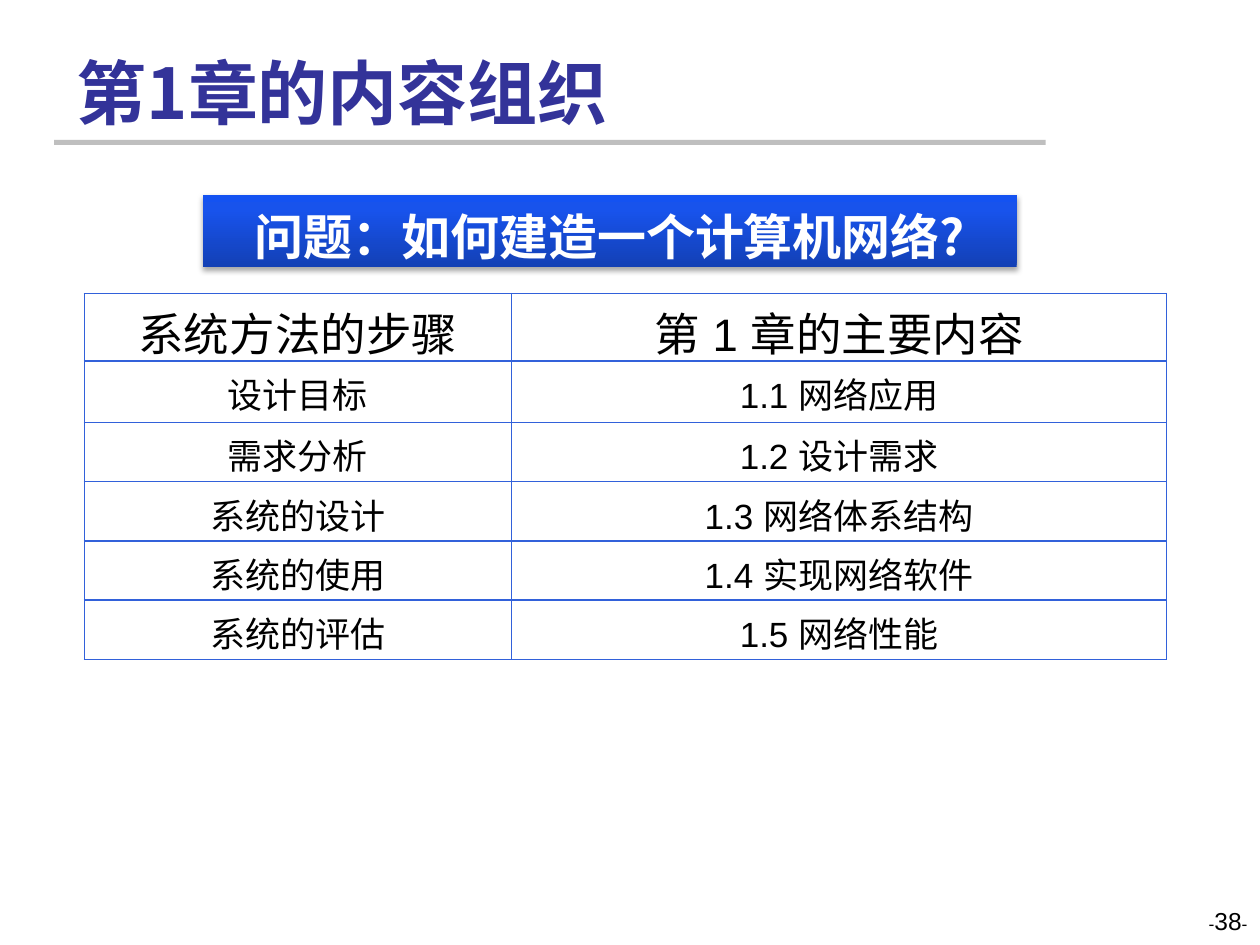
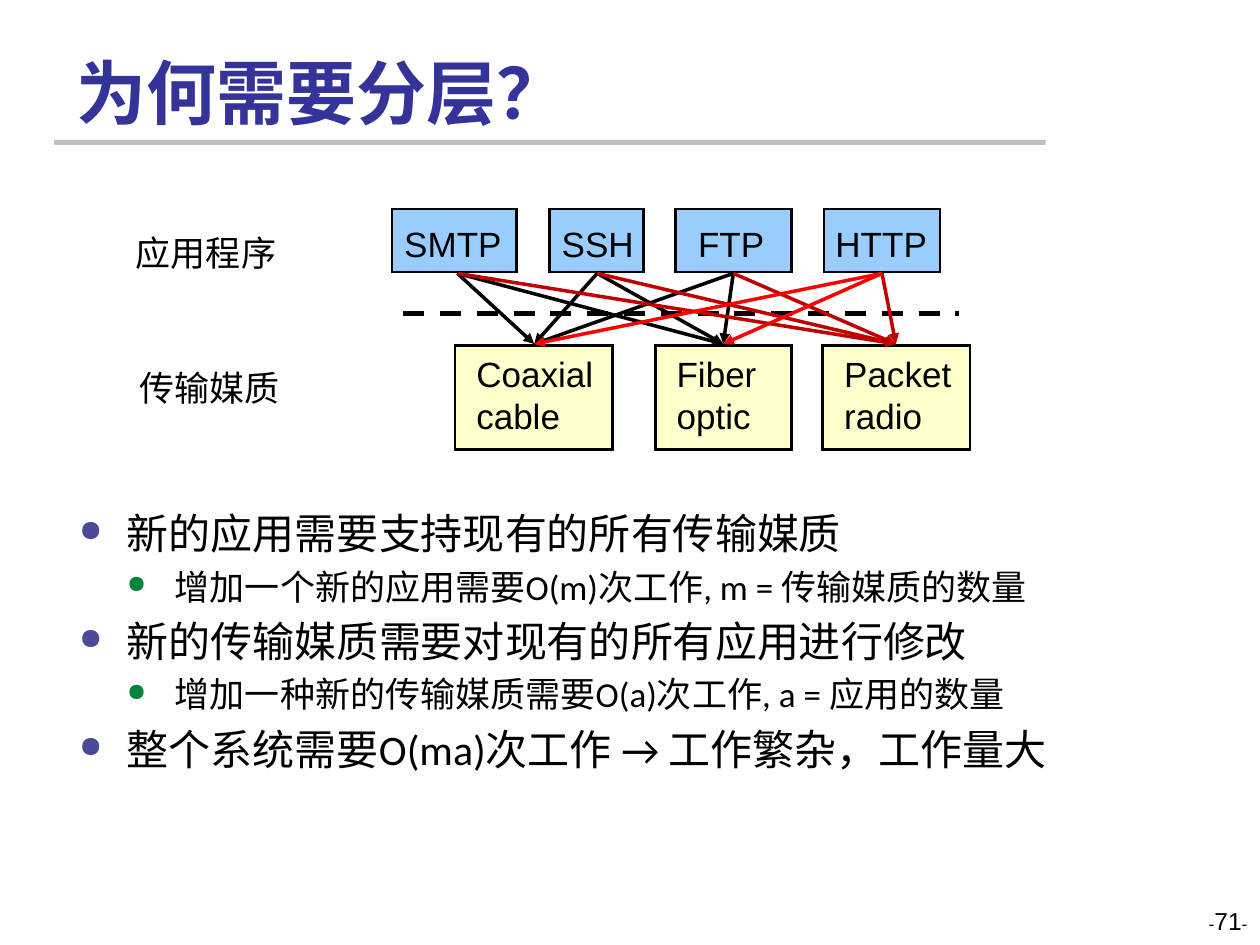
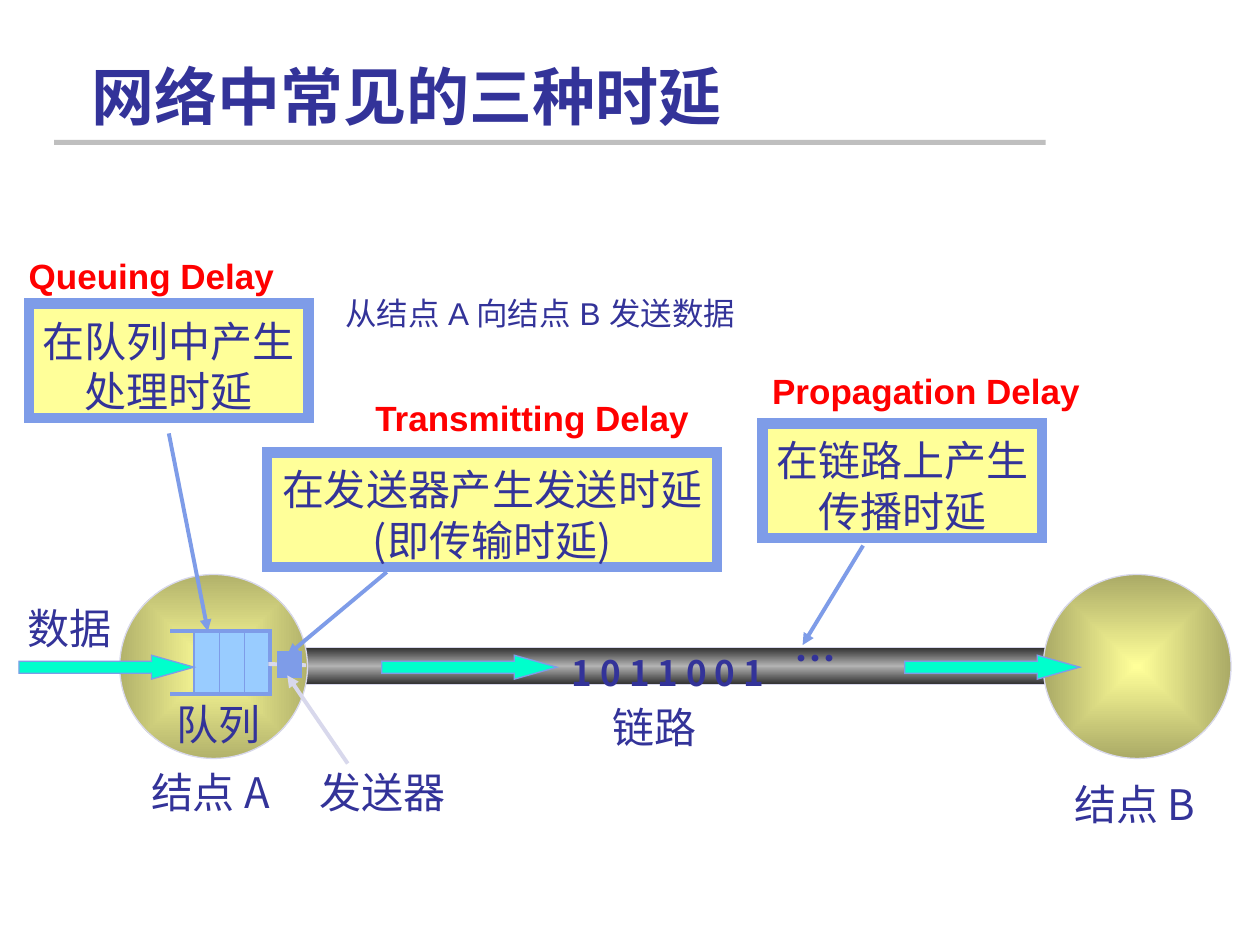
from dataclasses import dataclass
from itertools import product
from typing import NamedTuple

from lxml.etree import SubElement
from pptx import Presentation
from pptx.dml.color import RGBColor
from pptx.enum.dml import MSO_LINE
from pptx.enum.shapes import MSO_CONNECTOR, MSO_SHAPE
from pptx.enum.text import MSO_ANCHOR, MSO_AUTO_SIZE, PP_ALIGN
from pptx.oxml.ns import qn
from pptx.util import Inches, Pt


@dataclass(frozen=True)
class Theme:
    sans: str = "Arial"
    body: str = "Calibri"
    cjk: str = "Noto Sans CJK SC"
    ink: str = "000000"
    white: str = "FFFFFF"
    navy: str = "333399"
    rule: str = "BFBFBF"
    grid: str = "3261DA"
    red: str = "FF0000"
    dark_red: str = "C00000"
    sky: str = "99CCFF"
    cream: str = "FFFFCC"
    yellow: str = "FFFF99"
    periwinkle: str = "7E9CE8"
    lavender: str = "D8D8EC"
    mint: str = "00FFCC"
    bullets: tuple[str, str] = ("4A4A97", "00843C")
    banner_stops: tuple = ((0, "1340B5"), (80, "1853EC"), (100, "1452F1"))
    pipe_stops: tuple = ((0, "313131"), (50, "B2B2B2"), (100, "313131"))
    title_size: int = 40
    banner_size: int = 28
    head_size: int = 26
    large: int = 24
    medium: int = 20
    small: int = 18
    number_size: int = 14
    dash_size: int = 10
    line_height: float = 1.2


THEME = Theme()


class Box(NamedTuple):
    left: float
    top: float
    width: float
    height: float


class Type(NamedTuple):
    size: float
    font: str = THEME.cjk
    color: str = THEME.navy
    bold: bool = False
    align: PP_ALIGN = PP_ALIGN.LEFT


class Insets(NamedTuple):
    left: float = 0.1
    top: float = 0.05
    right: float = 0
    bottom: float = 0


CJK_INSETS = Insets(top=0.09)
CENTRED_INSETS = Insets(left=0, top=0.09)
LABEL = Type(THEME.large)
PLAIN = Type(THEME.medium, THEME.sans, THEME.ink)


class Label(NamedTuple):
    text: str
    box: Box
    type: Type = LABEL
    insets: Insets = CJK_INSETS


class Endpoint(NamedTuple):
    """A labelled block and the x at which its links meet it."""
    text: str
    left: float
    width: float
    link_x: float
    indent: float


class Delay(NamedTuple):
    name: str
    name_box: Box
    cause: str
    cause_box: Box
    pointer: tuple[float, float, float, float]


def rgb(color: str) -> RGBColor:
    return RGBColor.from_string(color)


def inches(box: Box) -> list:
    return [Inches(value) for value in box]


def set_font(paragraph, style: Type) -> None:
    paragraph.alignment = style.align
    paragraph.line_spacing = Pt(round(style.size * THEME.line_height, 1))
    font = paragraph.font
    font.size, font.bold, font.name = Pt(style.size), style.bold, style.font
    font.color.rgb = rgb(style.color)
    properties = paragraph._p.pPr.find(qn("a:defRPr"))
    SubElement(properties, qn("a:ea")).set("typeface", style.font)


def set_text(frame, text: str, style: Type, insets: Insets,
             anchor: MSO_ANCHOR = MSO_ANCHOR.TOP) -> None:
    frame.word_wrap = True
    frame.auto_size = MSO_AUTO_SIZE.NONE
    frame.vertical_anchor = anchor
    frame.margin_left, frame.margin_top = Inches(insets.left), Inches(insets.top)
    frame.margin_right, frame.margin_bottom = Inches(insets.right), Inches(insets.bottom)
    frame.text = text
    for paragraph in frame.paragraphs:
        set_font(paragraph, style)


def add_label(slide, label: Label) -> None:
    frame = slide.shapes.add_textbox(*inches(label.box)).text_frame
    set_text(frame, label.text, label.type, label.insets)


def style_shape(shape, fill: str | None, line: str | None, width: float) -> None:
    shape.shadow.inherit = False
    if fill:
        shape.fill.solid()
        shape.fill.fore_color.rgb = rgb(fill)
    else:
        shape.fill.background()
    if line:
        shape.line.color.rgb = rgb(line)
        shape.line.width = Pt(width)
        SubElement(shape._element.spPr.find(qn("a:ln")), qn("a:miter")).set("lim", "800000")
    else:
        shape.line.fill.background()


def add_block(slide, box: Box, fill: str | None, line: str | None = None,
              width: float = 0.75, kind: MSO_SHAPE = MSO_SHAPE.RECTANGLE):
    shape = slide.shapes.add_shape(kind, *inches(box))
    style_shape(shape, fill, line, width)
    return shape


def set_gradient(shape, stops: tuple, angle: int | None = None) -> None:
    """Linear at the given angle, or outward from the centre without one."""
    shape.fill.gradient()
    gradient = shape._element.spPr.find(qn("a:gradFill"))
    for child in list(gradient):
        gradient.remove(child)
    stop_list = SubElement(gradient, qn("a:gsLst"))
    for position, color in stops:
        stop = SubElement(stop_list, qn("a:gs"), pos=str(position * 1000))
        SubElement(stop, qn("a:srgbClr"), val=color)
    if angle is not None:
        SubElement(gradient, qn("a:lin"), ang=str(angle * 60000), scaled="0")
    else:
        shading = SubElement(gradient, qn("a:path"), {"path": "shape"})
        SubElement(shading, qn("a:fillToRect"), dict.fromkeys("ltrb", "50000"))


def add_soft_shadow(shape) -> None:
    effects = shape._element.spPr.find(qn("a:effectLst"))
    shadow = SubElement(effects, qn("a:outerShdw"), blurRad=str(Pt(3.1)),
                        dist=str(Pt(1.8)), dir="5400000", rotWithShape="0")
    color = SubElement(shadow, qn("a:srgbClr"), val=THEME.ink)
    SubElement(color, qn("a:alpha"), val="35000")


def add_line(slide, ends: tuple[float, float, float, float], color: str,
             width: float, arrow: bool = False, dashed: bool = False) -> None:
    line = slide.shapes.add_connector(MSO_CONNECTOR.STRAIGHT, *map(Inches, ends))
    line.line.color.rgb = rgb(color)
    line.line.width = Pt(width)
    if dashed:
        line.line.dash_style = MSO_LINE.DASH
    properties = line._element.spPr
    if arrow:
        SubElement(properties.find(qn("a:ln")), qn("a:tailEnd"), type="triangle")
    SubElement(properties, qn("a:effectLst"))


def add_titled_slide(deck, title: str, left: float, width: float,
                     size: int = THEME.title_size):
    slide = deck.slides.add_slide(deck.slide_layouts[5])
    add_block(slide, Box(0.43, 1.11, 7.87, 0.04), THEME.rule)
    heading = slide.shapes.title
    heading.left, heading.top, heading.width, heading.height = inches(
        Box(left, 0.28, width, 0.78))
    set_text(heading.text_frame, title, Type(size, bold=True), Insets(top=0),
             MSO_ANCHOR.BOTTOM)
    return slide


def add_page_number(slide, number: int) -> None:
    frame = slide.shapes.add_textbox(*inches(Box(7.67, 7.14, 2.33, 0.36))).text_frame
    style = Type(THEME.number_size, THEME.sans, THEME.ink, align=PP_ALIGN.RIGHT)
    set_text(frame, "", style, Insets(right=0.1))
    for text, size in (("-", THEME.dash_size), (str(number), THEME.number_size),
                       ("-", THEME.dash_size)):
        run = frame.paragraphs[0].add_run()
        run.text = text
        run.font.size = Pt(size)


def set_borders(cell, color: str) -> None:
    properties = cell._tc.get_or_add_tcPr()
    for index, side in enumerate(("a:lnL", "a:lnR", "a:lnT", "a:lnB")):
        border = properties.makeelement(qn(side), {"w": str(Pt(1))})
        fill = SubElement(border, qn("a:solidFill"))
        SubElement(fill, qn("a:srgbClr"), val=color)
        properties.insert(index, border)


def build_contents(deck) -> None:
    slide = add_titled_slide(deck, "第1章的内容组织", 0.51, 5.43)
    banner = add_block(slide, Box(1.61, 1.55, 6.46, 0.57), THEME.white)
    set_gradient(banner, THEME.banner_stops, 270)
    add_soft_shadow(banner)
    set_text(banner.text_frame, "问题：如何建造一个计算机网络?",
             Type(THEME.banner_size, color=THEME.white, bold=True, align=PP_ALIGN.CENTER),
             CENTRED_INSETS)

    steps = (
        ("系统方法的步骤", "第 1 章的主要内容"),
        ("设计目标", "1.1 网络应用"),
        ("需求分析", "1.2 设计需求"),
        ("系统的设计", "1.3 网络体系结构"),
        ("系统的使用", "1.4 实现网络软件"),
        ("系统的评估", "1.5 网络性能"),
    )
    table = slide.shapes.add_table(
        len(steps), 2, *inches(Box(0.67, 2.33, 8.59, 2.9))).table
    table.first_row = table.horz_banding = False
    for column, width in zip(table.columns, (3.39, 5.2)):
        column.width = Inches(width)
    for row, height in zip(table.rows, (0.53, 0.49, 0.47, 0.47, 0.47, 0.47)):
        row.height = Inches(height)
    for row, texts in enumerate(steps):
        size = THEME.medium if row else THEME.head_size
        style = Type(size, THEME.sans, THEME.ink, align=PP_ALIGN.CENTER)
        for column, text in enumerate(texts):
            cell = table.cell(row, column)
            cell.text = text
            cell.margin_left = cell.margin_right = cell.margin_top = Inches(0.1)
            cell.margin_bottom = 0
            cell.fill.background()
            set_borders(cell, THEME.grid)
            set_font(cell.text_frame.paragraphs[0], style)
    add_page_number(slide, 38)


def add_outline(slide, box: Box, points: tuple) -> None:
    frame = slide.shapes.add_textbox(*inches(box)).text_frame
    set_text(frame, "\n".join(text for _, text in points), PLAIN, Insets(right=0.1))
    for index, (paragraph, (level, _)) in enumerate(zip(frame.paragraphs, points)):
        size = (THEME.large, THEME.medium)[level]
        paragraph.level = level
        properties = paragraph._p.get_or_add_pPr()
        properties.remove(properties.find(qn("a:defRPr")))
        properties.set("marL", str(Inches(0.38 * (level + 1))))
        properties.set("indent", str(Inches(-0.38)))
        if index:
            paragraph.space_before = Pt(size * 0.2)
        color = SubElement(properties, qn("a:buClr"))
        SubElement(color, qn("a:srgbClr"), val=THEME.bullets[level])
        SubElement(properties, qn("a:buSzPct"), val="70000")
        SubElement(properties, qn("a:buChar"), char="●")
        set_font(paragraph, Type(size, THEME.body, THEME.ink))


def build_layering(deck) -> None:
    slide = add_titled_slide(deck, "为何需要分层？", 0.51, 8.25)
    add_outline(slide, Box(0.53, 3.98, 9, 2.82), (
        (0, "新的应用需要支持现有的所有传输媒质"),
        (1, "增加一个新的应用需要O(m)次工作, m = 传输媒质的数量"),
        (0, "新的传输媒质需要对现有的所有应用进行修改"),
        (1, "增加一种新的传输媒质需要O(a)次工作, a = 应用的数量"),
        (0, "整个系统需要O(ma)次工作 → 工作繁杂，工作量大"),
    ))
    protocols = (
        Endpoint("SMTP", 3.11, 0.99, 3.63, 0.1),
        Endpoint("SSH", 4.36, 0.75, 4.74, 0.1),
        Endpoint("FTP", 5.36, 0.92, 5.82, 0.18),
        Endpoint("HTTP", 6.54, 0.92, 7, 0.09),
    )
    media = (
        Endpoint("Coaxial\ncable", 3.61, 1.25, 4.24, 0.17),
        Endpoint("Fiber\noptic", 5.2, 1.08, 5.74, 0.17),
        Endpoint("Packet\nradio", 6.53, 1.17, 7.11, 0.17),
    )
    for ends, top, height, fill, drop in ((protocols, 1.66, 0.5, THEME.sky, 0.11),
                                          (media, 2.74, 0.83, THEME.cream, 0.06)):
        for end in ends:
            block = add_block(slide, Box(end.left, top, end.width, height), fill,
                              THEME.ink, 1.5)
            set_text(block.text_frame, end.text, PLAIN, Insets(end.indent, drop))
    row_type = Type(THEME.medium, color=THEME.ink)
    add_label(slide, Label("应用程序", Box(0.98, 1.75, 1.32, 0.44), row_type))
    add_label(slide, Label("传输媒质", Box(1.01, 2.82, 1.32, 0.44), row_type))
    add_line(slide, (3.2, 2.49, 7.61, 2.49), THEME.ink, 3, dashed=True)

    def link_color(protocol: Endpoint, medium: Endpoint) -> str:
        if medium is media[-1]:
            return THEME.dark_red
        return THEME.red if protocol is protocols[-1] else THEME.ink

    # Black links lie at the back and bright red ones in front.
    for protocol, medium in sorted(product(protocols, media),
                                   key=lambda pair: link_color(*pair)):
        add_line(slide, (protocol.link_x, 2.17, medium.link_x, 2.73),
                 link_color(protocol, medium), 2, arrow=True)
    add_page_number(slide, 71)


def add_queue(slide) -> None:
    left, right, top, bottom = 1.54, 2.14, 5.01, 5.51
    add_block(slide, Box(left, top, right - left, bottom - top), THEME.sky,
              THEME.periwinkle)
    builder = slide.shapes.build_freeform(Inches(1.35), Inches(top))
    builder.add_line_segments(
        [(Inches(x), Inches(y)) for x, y in ((right, top), (right, bottom), (1.35, bottom))],
        close=False)
    style_shape(builder.convert_to_shape(), None, THEME.periwinkle, 2.25)
    for slot in range(3):
        x = left + 0.2 * slot
        add_line(slide, (x, top, x, bottom), THEME.periwinkle, 0.75)


def build_delays(deck) -> None:
    slide = add_titled_slide(deck, "网络中常见的三种时延", 0.63, 7.59, 36)
    link = add_block(slide, Box(2.34, 5.14, 6.04, 0.29), THEME.white, THEME.lavender)
    set_gradient(link, THEME.pipe_stops, 90)
    for left, edge in ((0.95, "B2B26B"), (8.28, "AAAA66")):
        node = add_block(slide, Box(left, 4.56, 1.49, 1.46), THEME.yellow,
                         THEME.lavender, kind=MSO_SHAPE.OVAL)
        set_gradient(node, ((0, THEME.yellow), (100, edge)))
    add_queue(slide)
    add_line(slide, (2.13, 5.27, 2.43, 5.28), THEME.lavender, 2.25)
    add_block(slide, Box(2.2, 5.17, 0.19, 0.21), THEME.periwinkle, THEME.periwinkle)
    for left in (3.03, 0.15, 7.18):
        flow = add_block(slide, Box(left, 5.2, 1.39, 0.19), THEME.mint,
                         THEME.periwinkle, kind=MSO_SHAPE.RIGHT_ARROW)
        flow.adjustments[0], flow.adjustments[1] = 0.5, 1.78

    for label in (
        Label("1 0 1 1 0 0 1", Box(4.44, 5.08, 1.95, 0.44), Type(THEME.medium, bold=True)),
        Label("…", Box(6.21, 4.93, 0.53, 0.5), Type(THEME.large, bold=True)),
        Label("发送器", Box(2.44, 5.99, 1.2, 0.5)),
        Label("队列", Box(1.3, 5.45, 0.87, 0.5)),
        Label("结点 B", Box(8.43, 6.09, 1.2, 0.51)),
        Label("结点 A", Box(1.1, 5.99, 1.18, 0.51)),
        Label("数据", Box(0.12, 4.69, 0.87, 0.5)),
        Label("链路", Box(4.76, 5.48, 0.87, 0.5)),
        Label("从结点 A 向结点 B 发送数据", Box(2.64, 2.24, 5.73, 0.63),
              Type(THEME.small, THEME.sans)),
    ):
        add_label(slide, label)
    add_line(slide, (2.76, 6.06, 2.28, 5.36), THEME.lavender, 2.25, arrow=True)

    name_type = Type(THEME.medium, THEME.sans, THEME.red, bold=True)
    cause_type = Type(THEME.large, align=PP_ALIGN.CENTER)
    for delay in (
        Delay("Propagation Delay", Box(6.03, 2.88, 2.67, 0.44), "在链路上产生\n传播时延",
              Box(6.05, 3.36, 2.22, 0.91), (6.85, 4.33, 6.37, 5.12)),
        Delay("Transmitting Delay", Box(2.88, 3.1, 2.71, 0.44),
              "在发送器产生发送时延\n(即传输时延)",
              Box(2.12, 3.59, 3.57, 0.91), (3.07, 4.54, 2.28, 5.2)),
        Delay("Queuing Delay", Box(0.13, 1.97, 2.17, 0.44), "在队列中产生\n处理时延",
              Box(0.23, 2.41, 2.22, 0.91), (1.34, 3.44, 1.65, 5.01)),
    ):
        cause = add_block(slide, delay.cause_box, THEME.yellow, THEME.periwinkle, 6)
        set_text(cause.text_frame, delay.cause, cause_type, CENTRED_INSETS)
        add_line(slide, delay.pointer, THEME.periwinkle, 2.25, arrow=True)
        add_label(slide, Label(delay.name, delay.name_box, name_type, Insets()))


def main() -> None:
    deck = Presentation()
    deck.slide_width, deck.slide_height = Inches(10), Inches(7.5)
    build_contents(deck)
    build_layering(deck)
    build_delays(deck)
    deck.save("out.pptx")


if __name__ == "__main__":
    main()
